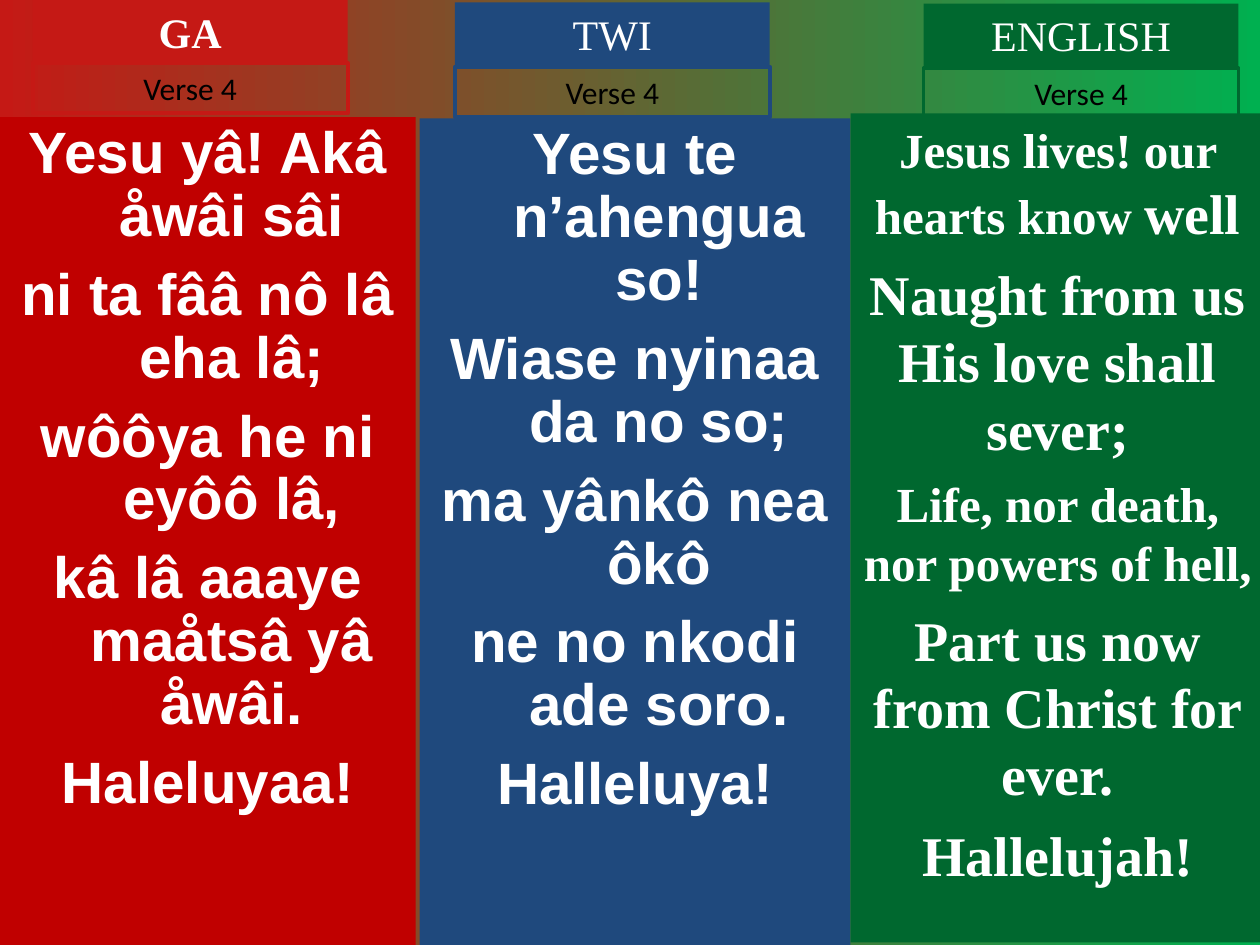
import pptx
import pptx.dml.color
import pptx.enum.shapes
import pptx.enum.text
import pptx.util
from pptx.util import Inches

RGBColor = pptx.dml.color.RGBColor
RED = RGBColor(0xC5, 0x19, 0x15)
DARK_RED = RGBColor(0xC0, 0x00, 0x00)
BLUE = RGBColor(0x1F, 0x49, 0x7D)
GREEN = RGBColor(0x00, 0x68, 0x2F)
BRIGHT_GREEN = RGBColor(0x00, 0xB0, 0x50)
WHITE = RGBColor(0xFF, 0xFF, 0xFF)
BLACK = RGBColor(0x00, 0x00, 0x00)

GA_LINES = [
    "Yesu yâ! Akâ åwâi sâi",
    "ni ta fââ nô lâ eha lâ;",
    "wôôya he ni eyôô lâ,",
    "kâ lâ aaaye maåtsâ yâ åwâi.",
    "Haleluyaa!",
]
TWI_LINES = [
    "Yesu te n’ahengua so!",
    "Wiase nyinaa da no so;",
    "ma yânkô nea ôkô",
    "ne no nkodi ade soro.",
    "Halleluya!",
]
# Each line is a list of (text, size) runs, followed by its space before.
ENGLISH_LINES = [
    ([("Jesus lives! our hearts know ", 28), ("well", 32)], 0),
    ([("Naught from us His love shall sever;", 32)], 8),
    ([("Life, nor death, nor powers of hell,", 28)], 7),
    ([("Part us now from Christ for ever.", 32)], 8),
    ([("Hallelujah!", 32)], 8),
]


def paint_background(slide):
    fill = slide.background.fill
    fill.gradient()
    fill.gradient_angle = 0
    for stop, color, position in zip(fill.gradient_stops, (RED, BRIGHT_GREEN), (0, 1)):
        stop.color.rgb = color
        stop.position = position


def add_box(slide, left, top, width, height, fill=None, line=None):
    """Add a rectangle with top-anchored text and return its text frame."""
    shape = slide.shapes.add_shape(
        pptx.enum.shapes.MSO_SHAPE.RECTANGLE,
        Inches(left), Inches(top), Inches(width), Inches(height))
    shape.shadow.inherit = False
    if fill is None:
        shape.fill.background()
    else:
        shape.fill.solid()
        shape.fill.fore_color.rgb = fill
    if line is None:
        shape.line.fill.background()
    else:
        shape.line.color.rgb = line
        shape.line.width = pptx.util.Pt(2.25)
    shape.text_frame.word_wrap = True
    shape.text_frame.vertical_anchor = pptx.enum.text.MSO_ANCHOR.TOP
    return shape.text_frame


def add_paragraph(frame, index, runs, font_name, color, bold=False, space_before=0):
    """Write (text, size) runs as the paragraph at index and return it."""
    paragraph = frame.paragraphs[0] if index == 0 else frame.add_paragraph()
    paragraph.alignment = pptx.enum.text.PP_ALIGN.CENTER
    if index > 0:
        paragraph.space_before = pptx.util.Pt(space_before)
    font = paragraph.font
    font.name, font.bold = font_name, bold
    font.color.rgb = color
    font.size = pptx.util.Pt(runs[0][1])
    for text, size in runs:
        run = paragraph.add_run()
        run.text = text
        if size != runs[0][1]:
            run.font.size = pptx.util.Pt(size)
    return paragraph


def add_label(slide, left, top, height, text, size, font_name, color,
              bold=False, fill=None, line=None):
    frame = add_box(slide, left, top, 2.5, height, fill, line)
    frame.auto_size = pptx.enum.text.MSO_AUTO_SIZE.SHAPE_TO_FIT_TEXT
    add_paragraph(frame, 0, [(text, size)], font_name, color, bold)


def add_heading(slide, left, top, verse_top, language, color, bold=False):
    add_label(slide, left, top, 0.5, language, 24, "Times New Roman", WHITE,
              bold, fill=color)
    add_label(slide, left, verse_top, 0.4, "Verse 4", 18, "Calibri", BLACK, line=color)


def add_hanging_lyrics(slide, left, top, width, height, fill, lines):
    frame = add_box(slide, left, top, width, height, fill)
    for index, text in enumerate(lines):
        paragraph = add_paragraph(frame, index, [(text, 33.3)], "Arial", WHITE, True, 9)
        paragraph.line_spacing = 0.9
        properties = paragraph._p.get_or_add_pPr()
        properties.set("marL", str(Inches(0.38)))
        properties.set("indent", str(Inches(-0.38)))


def add_english_lyrics(slide):
    frame = add_box(slide, 6.75, 0.9, 3.29, 6.58, GREEN)
    for index, (runs, space_before) in enumerate(ENGLISH_LINES):
        add_paragraph(frame, index, runs, "Times New Roman", WHITE, True, space_before)


def main():
    presentation = pptx.Presentation()
    presentation.slide_width, presentation.slide_height = Inches(10), Inches(7.5)
    slide = presentation.slides.add_slide(presentation.slide_layouts[6])
    paint_background(slide)
    add_hanging_lyrics(slide, 0, 0.93, 3.3, 6.57, DARK_RED, GA_LINES)
    add_hanging_lyrics(slide, 3.33, 0.94, 3.42, 6.56, BLUE, TWI_LINES)
    add_heading(slide, 0.26, 0, 0.5, "GA", RED, bold=True)
    add_heading(slide, 3.61, 0.02, 0.53, "TWI", BLUE)
    add_english_lyrics(slide)
    add_heading(slide, 7.33, 0.03, 0.54, "ENGLISH", GREEN)
    presentation.save("out.pptx")


if __name__ == "__main__":
    main()
